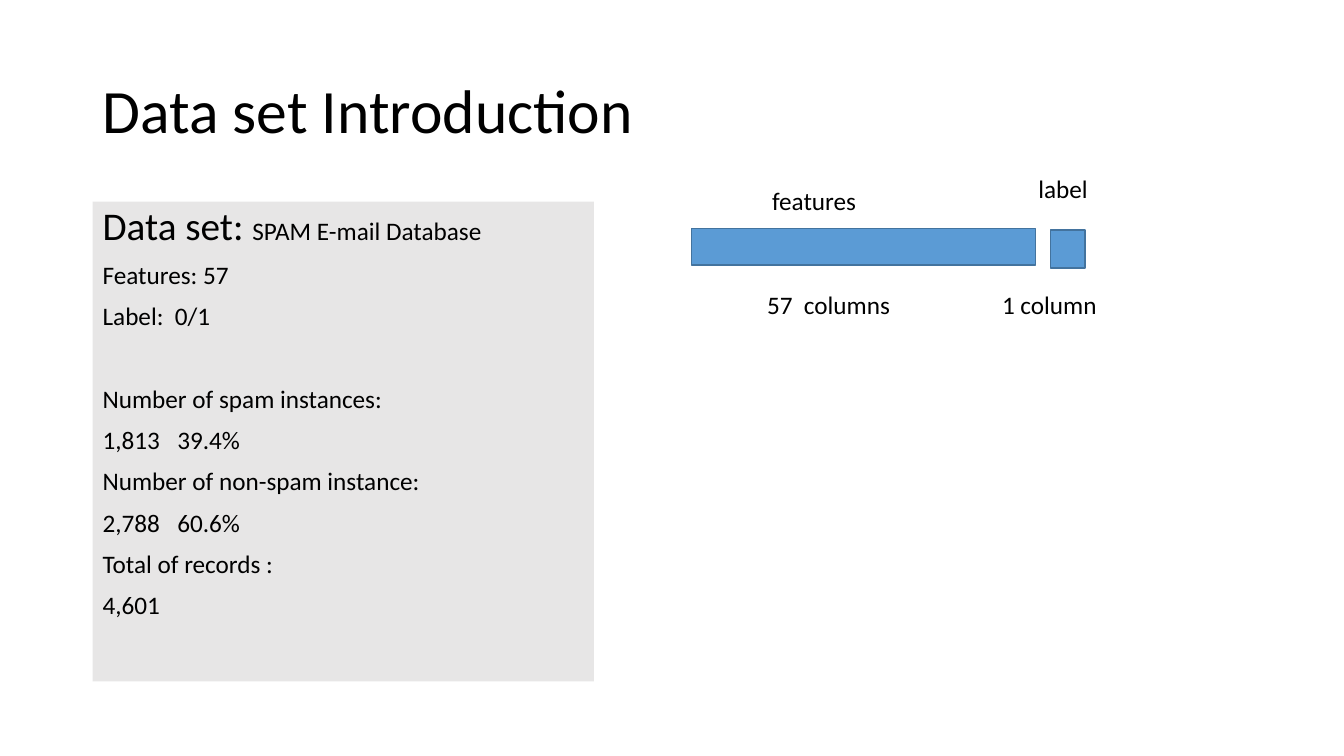
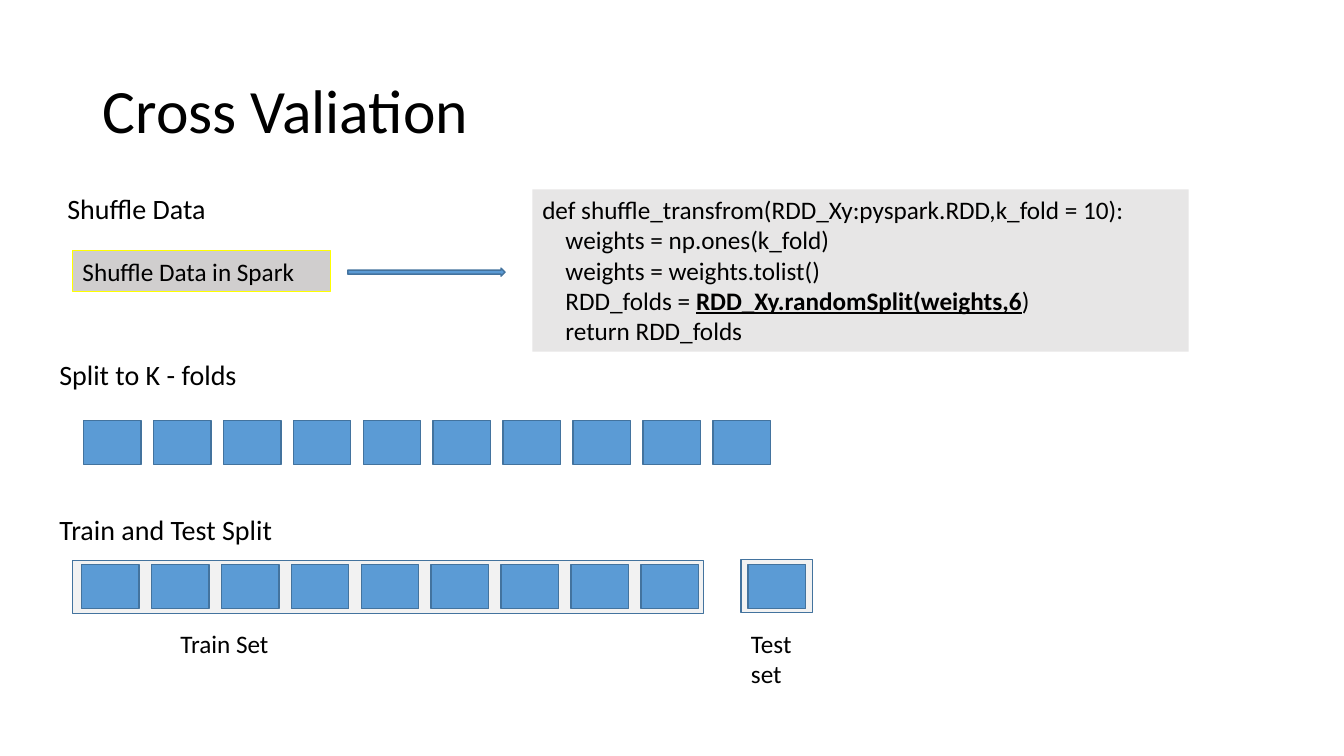
from pptx import Presentation
from pptx.dml.color import RGBColor
from pptx.enum.shapes import MSO_SHAPE
from pptx.enum.text import MSO_ANCHOR, PP_ALIGN
from pptx.oxml import parse_xml
from pptx.oxml.ns import nsdecls
from pptx.util import Inches, Pt

HEX = {"ink": "000000", "blue": "5B9BD5", "edge": "43739E", "panel": "E7E6E6",
       "frame": "F2F2F2", "gray": "D0CECE", "yellow": "FFFF00"}
FONT = "Calibri"
PITCH = 6.24 / 9
FOLD = (0.57, 0.44)


def block(slide, at, fill="blue", edge="edge", weight=1, kind=MSO_SHAPE.RECTANGLE):
    shape = slide.shapes.add_shape(kind, *[Inches(v) for v in at])
    shape.shadow.inherit = False
    shape.fill.solid()
    shape.fill.fore_color.rgb = RGBColor.from_string(HEX[fill])
    if edge:
        shape.line.color.rgb = RGBColor.from_string(HEX[edge])
        shape.line.width = Pt(weight)
    else:
        shape.line.fill.background()
    return shape


def write(slide, at, lines, size=18, space=1, gap=0, anchor=MSO_ANCHOR.TOP, shape=None):
    """Write lines, each a list of (text, style) runs, in a shape or a new text box."""
    shape = shape or slide.shapes.add_textbox(*[Inches(v) for v in at])
    frame = shape.text_frame
    frame.word_wrap = True
    frame.vertical_anchor = anchor
    for i, line in enumerate(lines):
        para = frame.paragraphs[0] if i == 0 else frame.add_paragraph()
        para.alignment = PP_ALIGN.LEFT
        para.line_spacing = space
        para.space_before = Pt(gap)
        for words, style in line:
            run = para.add_run()
            run.text = words
            font = run.font
            font.name = FONT
            font.size = Pt(style.get("size", size))
            font.bold = font.underline = style.get("strong", False)
            font.color.rgb = RGBColor.from_string(HEX["ink"])
    return frame.paragraphs


deck = Presentation()
deck.slide_width, deck.slide_height = Inches(13.33), Inches(7.5)
pages = []
for title in ["Data set Introduction", "Cross Valiation"]:
    page = deck.slides.add_slide(deck.slide_layouts[6])
    write(page, (0.92, 0.4, 11.5, 1.45), [[(title, {})]], 44, 0.9, anchor=MSO_ANCHOR.MIDDLE)
    pages.append(page)
data, cross = pages

# Data set facts
facts = ["Features: 57", "Label:  0/1", "Number of spam instances:", "1,813\t39.4%",
         "Number of non-spam instance:", "2,788\t60.6%", "Total of records :", "4,601"]
lines = [[("Data set: ", {"size": 28}), ("SPAM E-mail Database", {})]]
lines += [[(fact, {})] for fact in facts]
at = (0.92, 2, 4.97, 4.76)
paras = write(data, at, lines, space=0.9, gap=10, shape=block(data, at, "panel", None))
paras[3].space_before = Pt(39.5)
for para in paras:
    if "\t" in para.text:
        para._p.get_or_add_pPr().append(parse_xml(
            f'<a:tabLst {nsdecls("a")}><a:tab pos="{Inches(0.74)}" algn="l"/></a:tabLst>'))

# Record layout
block(data, (6.86, 2.27, 3.41, 0.36))
block(data, (10.42, 2.28, 0.34, 0.38))
for x, y, w, words in [(7.51, 2.82, 2.1, "57  columns"), (9.84, 2.82, 1.93, "1 column"),
                       (7.56, 1.79, 1.33, "features"), (10.2, 1.67, 1.21, "label")]:
    write(data, (x, y, w, 0.4), [[(words, {})]])

# Steps of cross validation
for x, y, w, space, words in [(0.57, 1.85, 2.33, 1, "Shuffle Data"),
                              (0.49, 3.5, 3.84, 1, "Split to K - folds"),
                              (0.49, 5.07, 2.65, 0.9, "Train and Test Split")]:
    write(cross, (x, y, w, 0.44), [[(words, {})]], 20, space)

# Shuffle
at = (0.72, 2.49, 2.56, 0.4)
write(cross, at, [[("Shuffle Data in Spark", {})]],
      shape=block(cross, at, "gray", "yellow", 0.75))
block(cross, (3.45, 2.66, 1.56, 0.08), kind=MSO_SHAPE.RIGHT_ARROW)
code = [[("def shuffle_transfrom(RDD_Xy:pyspark.RDD,k_fold = 10):", {})],
        [("weights = np.ones(k_fold)", {})],
        [("weights = weights.tolist()", {})],
        [("RDD_folds = ", {}), ("RDD_Xy.randomSplit(weights,6", {"strong": True}), (")", {})],
        [("return RDD_folds", {})]]
at = (5.28, 1.88, 6.51, 1.61)
paras = write(cross, at, code, shape=block(cross, at, "panel", None))
for para in paras[1:]:
    para._p.get_or_add_pPr().set("marL", str(Inches(0.23)))

# Folds, then the train and test sets
for i in range(10):
    block(cross, (0.83 + i * PITCH, 4.17, *FOLD))
block(cross, (0.72, 5.56, 6.26, 0.53), "frame")
block(cross, (7.35, 5.55, 0.71, 0.53), "frame")
for i in range(9):
    block(cross, (0.81 + i * PITCH, 5.6, *FOLD))
block(cross, (7.42, 5.6, *FOLD))
write(cross, (1.69, 6.18, 1.27, 0.4), [[("Train Set", {})]])
write(cross, (7.35, 6.18, 0.83, 0.71), [[("Test set", {})]])

deck.save("out.pptx")
